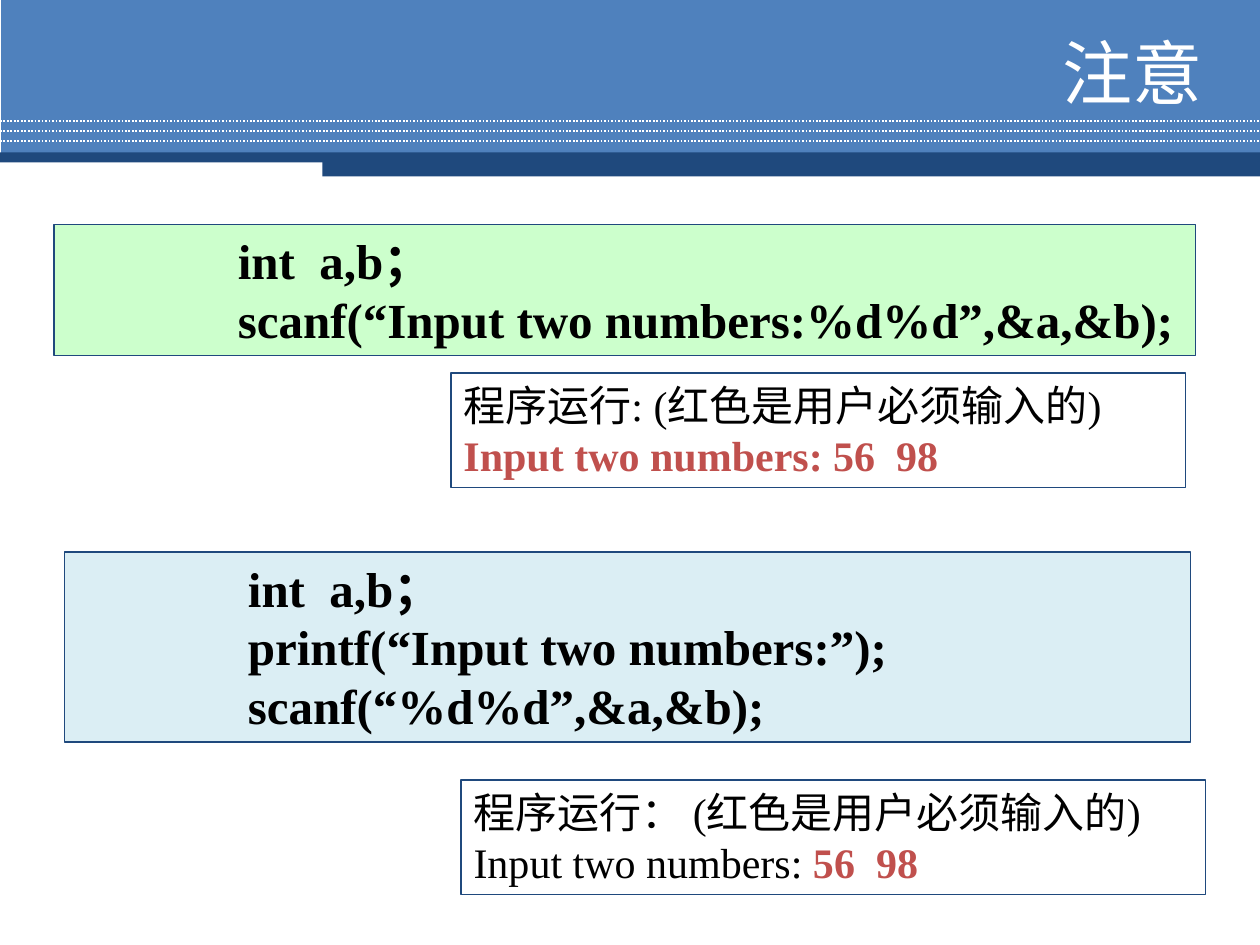
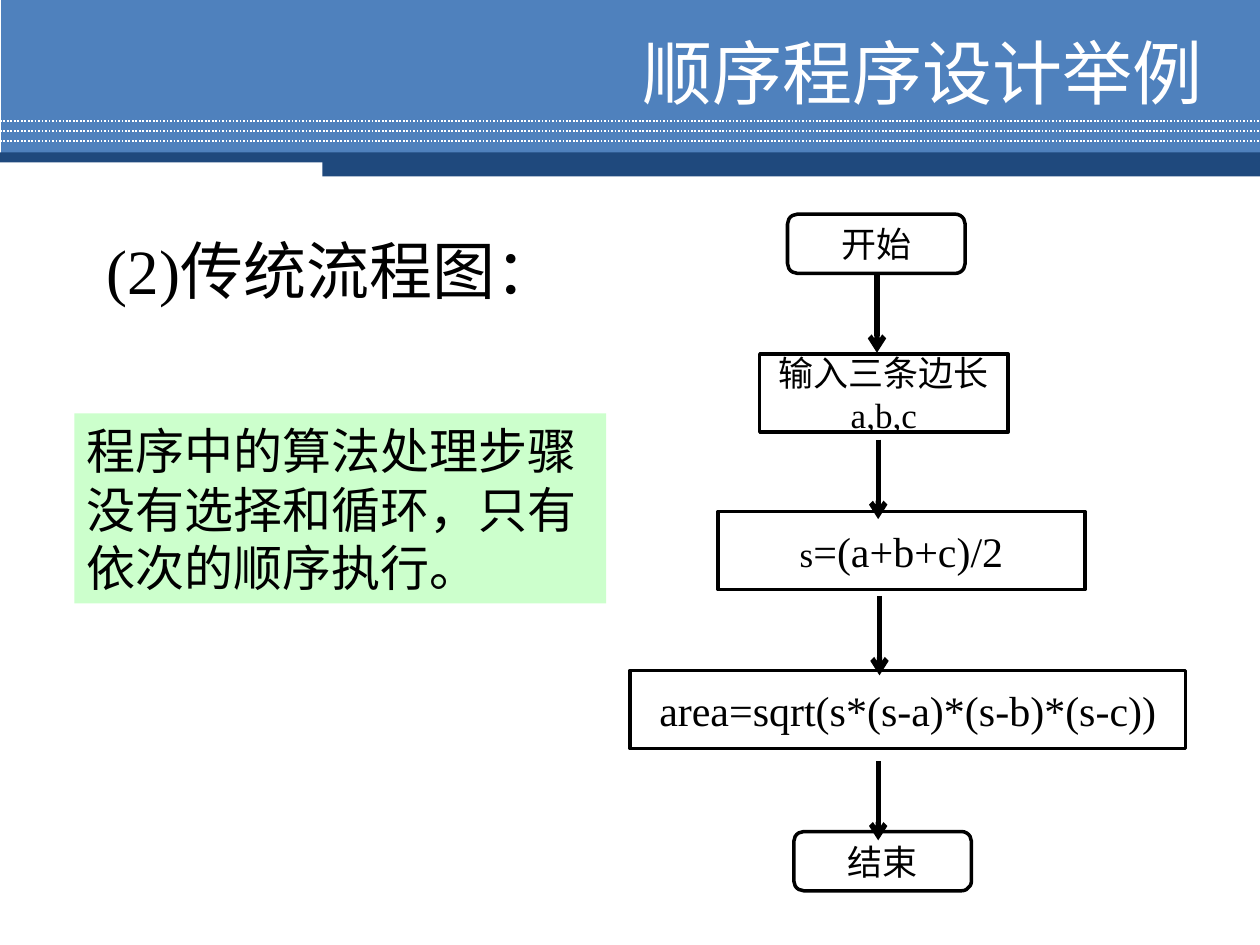
import pptx
import pptx.dml.color
import pptx.enum.dml
import pptx.enum.shapes
import pptx.enum.text
import pptx.oxml
import pptx.oxml.ns
import pptx.util

Inches = pptx.util.Inches
Pt = pptx.util.Pt
SHAPE = pptx.enum.shapes.MSO_SHAPE
ANCHOR = pptx.enum.text.MSO_ANCHOR
ALIGN = pptx.enum.text.PP_ALIGN

BLUE, NAVY, RED = "4F81BD", "1F497D", "C0504D"
GREEN, PALE_BLUE = "CCFFCC", "DBEEF4"
BLACK, WHITE = "000000", "FFFFFF"
SERIF, SANS, CJK = "Times New Roman", "Arial", "Noto Sans CJK SC"


def rgb(value):
    return pptx.dml.color.RGBColor.from_string(value)


def add_text(sp, paragraphs, size=24, font=SERIF, color=BLACK, bold=False,
             align=ALIGN.LEFT, anchor=ANCHOR.TOP, indent=0):
    """Fill a shape; a paragraph is a list of (text, format changes) runs."""
    tf = sp.text_frame
    tf.word_wrap = True
    tf.vertical_anchor = anchor
    for i, runs in enumerate(paragraphs):
        p = tf.add_paragraph() if i else tf.paragraphs[0]
        p.alignment = align
        if indent:
            p._p.get_or_add_pPr().set("marL", str(Inches(indent)))
        for text, changes in runs:
            style = dict(size=size, font=font, color=color, bold=bold) | changes
            r = p.add_run()
            r.text = text
            r.font.size = Pt(style["size"])
            r.font.name = style["font"]
            r.font.bold = style["bold"]
            r.font.color.rgb = rgb(style["color"])
            ea = pptx.oxml.parse_xml(
                f'<a:ea {pptx.oxml.ns.nsdecls("a")} typeface="{CJK}"/>')
            r._r.rPr.find(pptx.oxml.ns.qn("a:latin")).addnext(ea)


def add_box(slide, box, fill=None, line=None, width=0.75, kind=SHAPE.RECTANGLE):
    sp = slide.shapes.add_shape(kind, *map(Inches, box))
    sp.shadow.inherit = False
    if fill:
        sp.fill.solid()
        sp.fill.fore_color.rgb = rgb(fill)
    else:
        sp.fill.background()
    if line:
        sp.line.color.rgb = rgb(line)
        sp.line.width = Pt(width)
    else:
        sp.line.fill.background()
    return sp


def add_line(slide, start, end, color, width, dash=None, arrow=False):
    cn = slide.shapes.add_connector(
        pptx.enum.shapes.MSO_CONNECTOR.STRAIGHT, *map(Inches, (*start, *end)))
    cn.line.color.rgb = rgb(color)
    cn.line.width = Pt(width)
    if dash:
        cn.line.dash_style = dash
    ns = pptx.oxml.ns.nsdecls("a")
    if arrow:
        cn.line._get_or_add_ln().append(
            pptx.oxml.parse_xml(f'<a:tailEnd {ns} type="arrow"/>'))
    cn._element.spPr.append(pptx.oxml.parse_xml(f"<a:effectLst {ns}/>"))


def add_titled_slide(prs, title):
    slide = prs.slides.add_slide(prs.slide_layouts[6])
    # Header band with dotted rules
    add_box(slide, (0.01, 0, 9.99, 1.23), BLUE)
    for i in range(3):
        y = 0.96 + 0.08 * i
        add_line(slide, (0, y), (10, y), WHITE, 1,
                 pptx.enum.dml.MSO_LINE.ROUND_DOT)
    # Stepped edge under the band
    add_box(slide, (0, 1.21, 10, 0.08), NAVY)
    add_box(slide, (2.56, 1.24, 7.44, 0.16), NAVY)
    # Title
    tb = slide.shapes.add_textbox(*map(Inches, (2.72, 0.28, 6.92, 0.58)))
    add_text(tb, [[(title, {})]], size=40, font=SANS, color=WHITE,
             align=ALIGN.RIGHT, anchor=ANCHOR.MIDDLE)
    return slide


def add_code(slide, box, fill, lines):
    sp = add_box(slide, box, fill, NAVY)
    add_text(sp, [[(line, {})] for line in lines],
             size=28, bold=True, indent=1.36)


def add_output(slide, box, paragraphs):
    add_text(add_box(slide, box, line=NAVY), paragraphs)


def build_scanf_slide(prs):
    slide = add_titled_slide(prs, "注意")
    typed = dict(color=RED, bold=True)
    # Prompt inside scanf: the user has to type it
    add_code(slide, (0.43, 1.78, 9.06, 1.04), GREEN,
             ["int  a,b；", "scanf(“Input two numbers:%d%d”,&a,&b);"])
    add_output(slide, (3.58, 2.96, 5.83, 0.91),
               [[("程序运行: (红色是用户必须输入的)", {})],
                [("Input two numbers: 56  98", typed)]])
    # Prompt printed first: the user types only the numbers
    add_code(slide, (0.51, 4.38, 8.94, 1.51), PALE_BLUE,
             ["int  a,b；", "printf(“Input two numbers:”);",
              "scanf(“%d%d”,&a,&b);"])
    add_output(slide, (3.66, 6.19, 5.91, 0.91),
               [[("程序运行： (红色是用户必须输入的)", {})],
                [("Input two numbers: ", {}), ("56  98", typed)]])


def add_flowchart(slide, left, top):
    # Steps: offset from left and top, width, height, shape, runs
    end, process = SHAPE.FLOWCHART_ALTERNATE_PROCESS, SHAPE.FLOWCHART_PROCESS
    small, label = dict(size=20), dict(size=20, font=SANS)
    steps = [
        (1.25, 0, 1.41, 0.47, end, [("开始", label)]),
        (1.03, 1.11, 1.97, 0.62, process, [("输入三条边长a,b,c", small)]),
        (0.7, 2.36, 2.91, 0.62, process, [("s", small), ("=(a+b+c)/2", {})]),
        (0, 3.62, 4.41, 0.62, process,
         [("area=sqrt(s*(s-a)*(s-b)*(s-c))", {})]),
        (1.3, 4.9, 1.41, 0.47, end, [("结束", label)]),
    ]
    for x, y, width, height, kind, runs in steps:
        sp = add_box(slide, (left + x, top + y, width, height),
                     line=BLACK, width=2, kind=kind)
        add_text(sp, [runs], align=ALIGN.CENTER, anchor=ANCHOR.MIDDLE)
    # Arrows between the steps
    for x, y in [(1.96, 0.47), (1.97, 1.79), (1.98, 3.03), (1.97, 4.34)]:
        add_line(slide, (left + x, top + y), (left + x, top + y + 0.63),
                 BLACK, 3, arrow=True)


def build_flowchart_slide(prs):
    slide = add_titled_slide(prs, "顺序程序设计举例")
    # Heading and remark
    tb = slide.shapes.add_textbox(*map(Inches, (0.75, 1.79, 5.28, 0.7)))
    add_text(tb, [[("(2)", {}), ("传统流程图：", dict(font=CJK))]],
             size=36, anchor=ANCHOR.MIDDLE)
    remark = add_box(slide, (0.59, 3.28, 4.22, 1.51), GREEN)
    add_text(remark, [[("程序中的算法处理步骤没有选择和循环，只有依次的顺序执行。", {})]],
             size=28, font=CJK, anchor=ANCHOR.MIDDLE)
    add_flowchart(slide, 5, 1.7)


def main():
    prs = pptx.Presentation()
    prs.slide_width, prs.slide_height = Inches(10), Inches(7.5)
    build_scanf_slide(prs)
    build_flowchart_slide(prs)
    prs.save("out.pptx")


if __name__ == "__main__":
    main()
